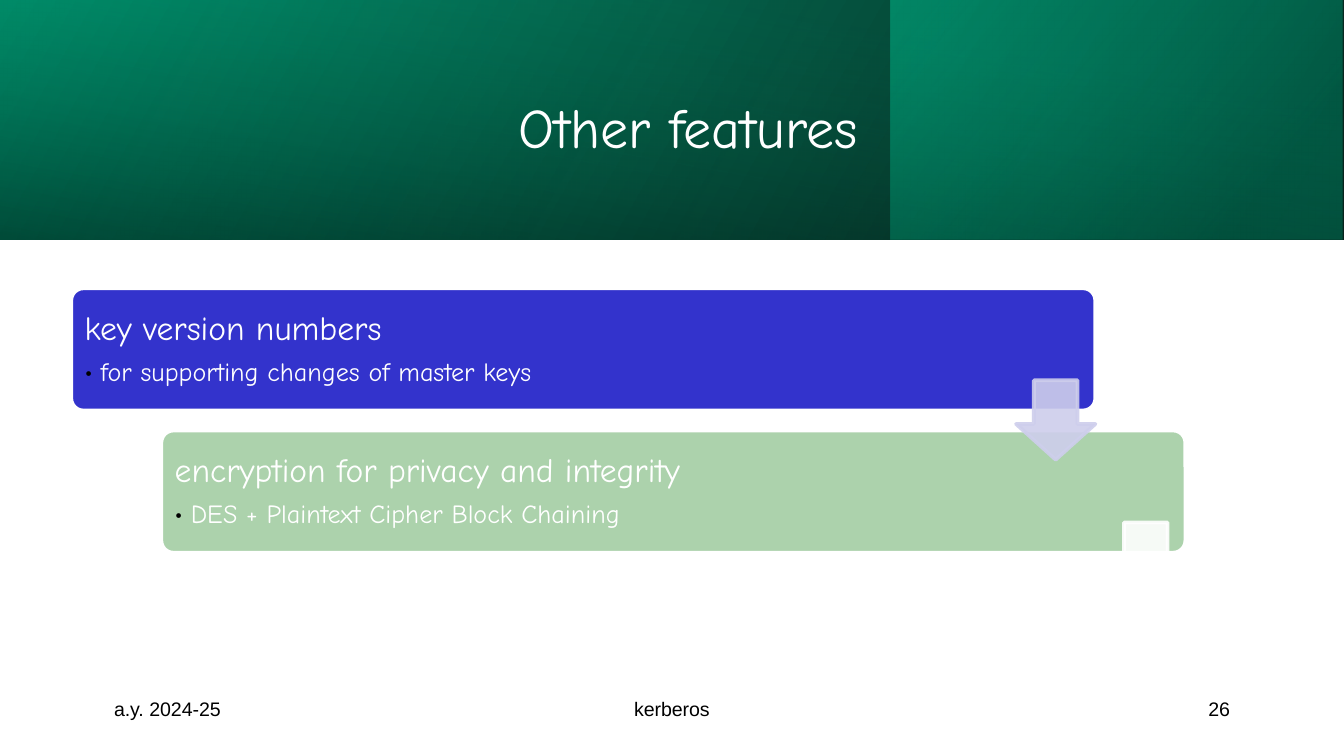
from dataclasses import dataclass

from lxml import etree
from pptx import Presentation, util as u
from pptx.dml.color import RGBColor
from pptx.enum import shapes, text
from pptx.oxml import ns


@dataclass(frozen=True)
class Theme:
    white: str = "FFFFFF"
    black: str = "000000"
    blue: str = "3333CC"
    sage: str = "ACD2AC"
    lavender: str = "CECEEC"
    deep_green: str = "00664D"
    green: str = "009973"
    bright_green: str = "00CC99"
    heading_font: str = "Comic Neue"
    footer_font: str = "Arial"
    title_size: float = 30
    card_size: float = 18
    detail_size: float = 14
    footer_size: float = 10.5


@dataclass(frozen=True)
class Area:
    """Place on a grid of 100 columns, with square cells."""
    col: float
    row: float
    cols: float
    rows: float

    def emu(self) -> list[int]:
        return [round(n * CELL) for n in (self.col, self.row, self.cols, self.rows)]

    def step(self, n: int) -> "Area":
        return Area(self.col + n * STEP_COLS, self.row + n * STEP_ROWS, self.cols, self.rows)


@dataclass(frozen=True)
class Band:
    area: Area
    stops: tuple  # (position %, colour, opacity %)
    angle: int
    rotation: int = 0


@dataclass(frozen=True)
class Card:
    heading: str
    detail: str
    fill: str
    arrow: str


@dataclass(frozen=True)
class Footer:
    words: str
    area: Area
    align: text.PP_ALIGN


T = Theme()
WIDTH = u.Inches(10)
HEIGHT = WIDTH * 9 // 16
CELL = WIDTH / 100
STEP_COLS, STEP_ROWS = 6.7, 10.58
CARD = Area(5.3, 21.45, 76.2, 9.1)
ARROW = Area(75.6, 28.3, 5.9, 5.9)
INSET = 0.3  # label inside its card

BANDS = [
    Band(Area(0, 0, 100, 17.8), ((0, T.black, 96), (100, T.green, 100)), 330),
    Band(Area(66.3, 0, 33.6, 17.8), ((19, T.deep_green, 68), (100, T.bright_green, 48)), 320),
    Band(Area(41.1, -41.1, 17.8, 100), ((23, T.green, 16), (99, T.black, 45)), 350, 270),
]
CARDS = [
    Card("key version numbers", "for supporting changes of master keys", T.blue, T.lavender),
    Card("encryption for privacy and integrity", "DES + Plaintext Cipher Block Chaining",
         T.sage, T.white),
]
FOOTERS = [
    Footer("a.y. 2024-25", Area(7.5, 51.35, 20.8, 3.7), text.PP_ALIGN.LEFT),
    Footer("kerberos", Area(34.2, 51.35, 31.6, 3.7), text.PP_ALIGN.CENTER),
    Footer("26", Area(71.7, 51.35, 20.8, 3.7), text.PP_ALIGN.RIGHT),
]


def sub(parent, tag: str, **attrs):
    return etree.SubElement(parent, ns.qn(tag), {k: str(v) for k, v in attrs.items()})


def style(p, size: float, font: str, color: str) -> None:
    p.font.size = u.Pt(size)
    p.font.name = font
    p.font.color.rgb = RGBColor.from_string(color)


def add_preset(s, kind, area: Area):
    sp = s.shapes.add_shape(kind, *area.emu())
    sp.shadow.inherit = False
    return sp


def paint(sp, fill: str, line: str, opacity: int = 100) -> None:
    sp.fill.solid()
    sp.fill.fore_color.rgb = RGBColor.from_string(fill)
    sp.line.width = u.Pt(2)
    sp.line.color.rgb = RGBColor.from_string(line)
    if opacity < 100:
        for clr in sp._element.spPr.iter(ns.qn("a:srgbClr")):
            sub(clr, "a:alpha", val=opacity * 1000)


def add_band(s, band: Band) -> None:
    sp = add_preset(s, shapes.MSO_SHAPE.RECTANGLE, band.area)
    sp.rotation = band.rotation
    sp.line.fill.background()
    sp._element.spPr.find(ns.qn("a:xfrm")).set("flipH", "1")
    grad = etree.Element(ns.qn("a:gradFill"), rotWithShape="1")
    stops = sub(grad, "a:gsLst")
    for pos, color, opacity in band.stops:
        clr = sub(sub(stops, "a:gs", pos=pos * 1000), "a:srgbClr", val=color)
        sub(clr, "a:alpha", val=opacity * 1000)
    sub(grad, "a:lin", ang=band.angle * 60000, scaled=0)
    sp._element.spPr.find(ns.qn("a:prstGeom")).addnext(grad)


def add_card(s, card: Card, area: Area) -> None:
    sp = add_preset(s, shapes.MSO_SHAPE.ROUNDED_RECTANGLE, area)
    sp.adjustments[0] = 0.1
    paint(sp, card.fill, T.white)

    label = Area(area.col + INSET, area.row + INSET, 66, area.rows - 2 * INSET)
    tf = s.shapes.add_textbox(*label.emu()).text_frame
    tf.word_wrap = True
    tf.vertical_anchor = text.MSO_ANCHOR.MIDDLE
    tf.margin_left = tf.margin_right = tf.margin_top = tf.margin_bottom = u.Inches(0.07)

    p = tf.paragraphs[0]
    p.text = card.heading
    p.line_spacing = 0.9
    p.space_after = u.Pt(6)
    style(p, T.card_size, T.heading_font, T.white)

    p = tf.add_paragraph()
    p.text = card.detail
    p.level = 1
    p.line_spacing = 0.9
    p.space_after = u.Pt(2)
    pPr = p._p.get_or_add_pPr()
    pPr.set("marL", str(u.Inches(0.12)))
    pPr.set("indent", str(-u.Inches(0.12)))
    sub(sub(pPr, "a:buClr"), "a:srgbClr", val=T.black)
    sub(pPr, "a:buFont", typeface=T.heading_font)
    sub(pPr, "a:buChar", char="•")
    style(p, T.detail_size, T.heading_font, T.white)


def add_arrow(s, color: str, area: Area) -> None:
    sp = add_preset(s, shapes.MSO_SHAPE.DOWN_ARROW, area)
    sp.adjustments[0], sp.adjustments[1] = 0.55, 0.45
    paint(sp, color, color, 90)


def add_footer(s, footer: Footer) -> None:
    tf = s.shapes.add_textbox(*footer.area.emu()).text_frame
    tf.word_wrap = True
    p = tf.paragraphs[0]
    p.text = footer.words
    p.alignment = footer.align
    style(p, T.footer_size, T.footer_font, T.black)


def main() -> None:
    prs = Presentation()
    prs.slide_width, prs.slide_height = WIDTH, HEIGHT
    s = prs.slides.add_slide(prs.slide_layouts[5])

    # Green header, with the title brought in front of it
    for band in BANDS:
        add_band(s, band)
    title = s.shapes.title
    s.shapes._spTree.append(title._element)
    title.left, title.top, title.width, title.height = Area(11.35, 2.9, 79.7, 12.9).emu()
    title.text_frame.vertical_anchor = text.MSO_ANCHOR.MIDDLE
    p = title.text_frame.paragraphs[0]
    p.text = "Other features"
    p.alignment = text.PP_ALIGN.CENTER
    style(p, T.title_size, T.heading_font, T.white)

    # Staircase of cards, then the arrows over them
    for i, card in enumerate(CARDS):
        add_card(s, card, CARD.step(i))
    for i, card in enumerate(CARDS):
        add_arrow(s, card.arrow, ARROW.step(i))

    # Footer
    for footer in FOOTERS:
        add_footer(s, footer)

    prs.save("out.pptx")


if __name__ == "__main__":
    main()
